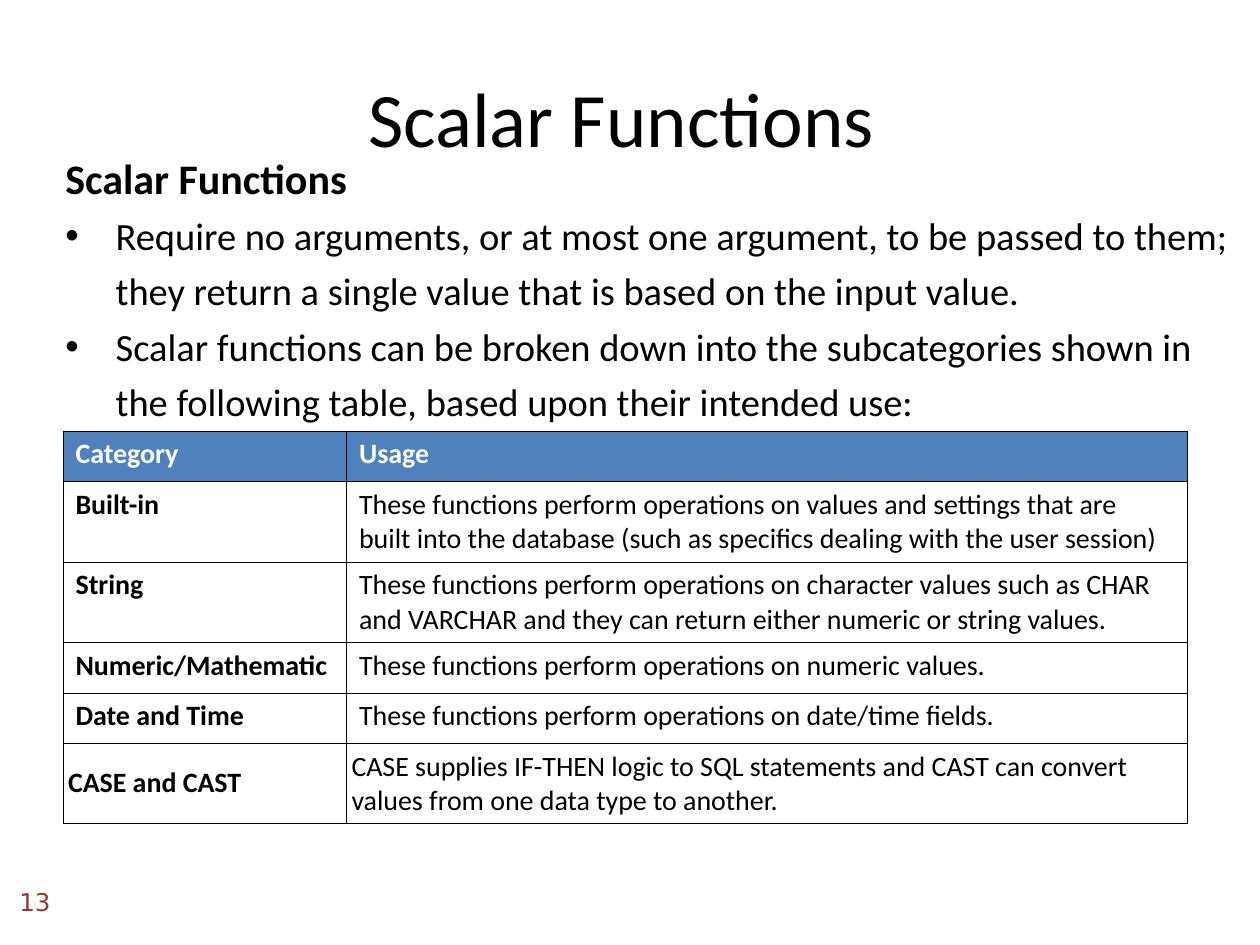
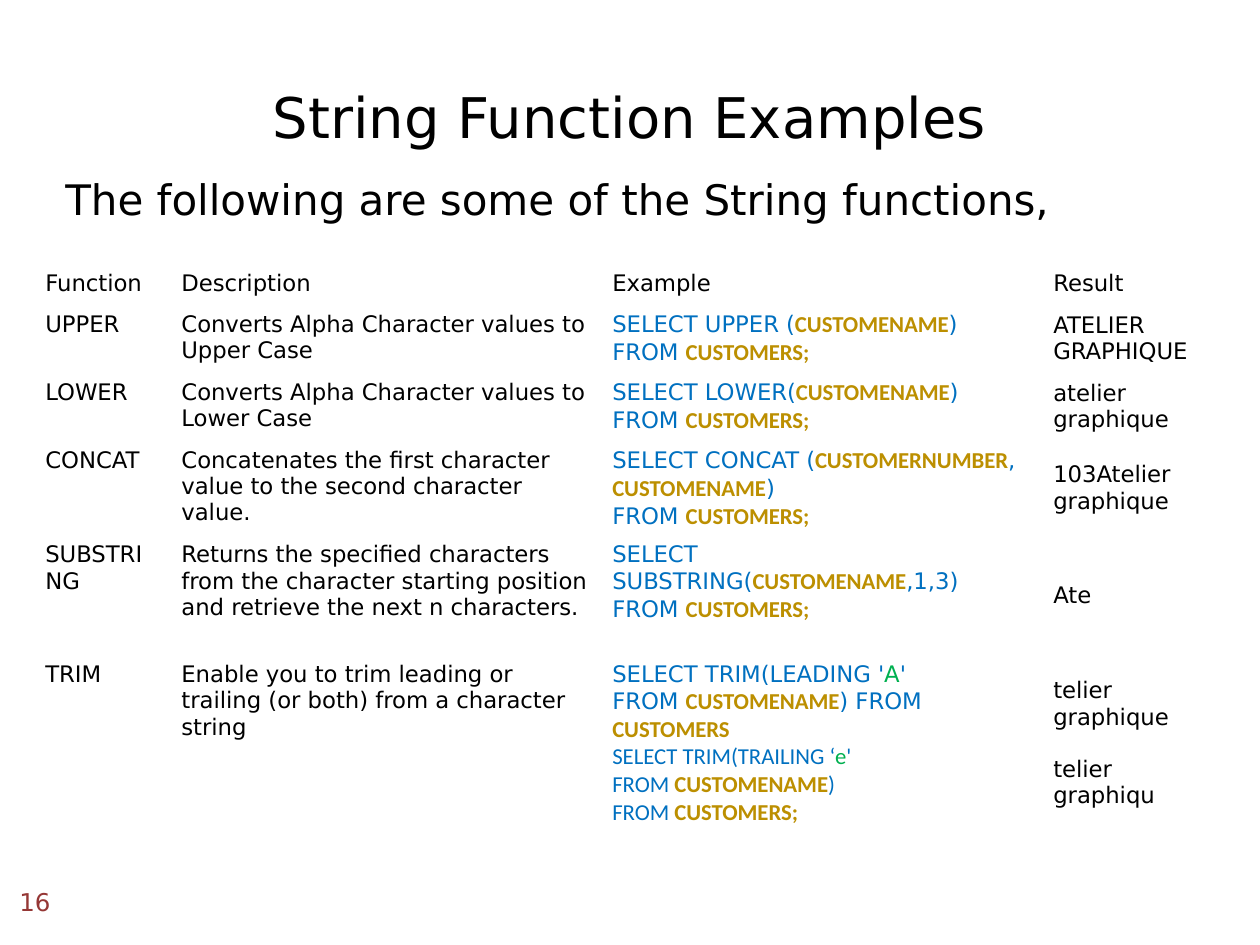
from pptx import Presentation
from pptx.dml.color import RGBColor
from pptx.enum.text import MSO_ANCHOR, PP_ALIGN
from pptx.oxml.ns import qn
from pptx.util import Inches, Pt
from lxml.etree import SubElement

# Shared look
SANS, MONO = "Calibri", "DejaVu Sans"
BLACK, WHITE, BLUE, RED = "000000", "FFFFFF", "4F81BD", "953735"
KEY = {"color": "0070C0"}
NAME = {"color": "BC8F00", "font": SANS, "bold": True}
QUOTE = {"color": "00B050"}

# Slide content
POINTS = [
    "Require no arguments, or at most one argument, to be passed to them; "
    "they return a single value that is based on the input value.",
    "Scalar functions can be broken down into the subcategories shown in "
    "the following table, based upon their intended use:",
]
USES = [
    ("Category", "Usage"),
    ("Built-in", "These functions perform operations on values and settings that are "
     "built into the database (such as specifics dealing with the user session)"),
    ("String", "These functions perform operations on character values such as CHAR "
     "and VARCHAR and they can return either numeric or string values."),
    ("Numeric/Mathematic", "These functions perform operations on numeric values."),
    ("Date and Time", "These functions perform operations on date/time fields."),
    ("CASE and CAST", "CASE supplies IF-THEN logic to SQL statements and CAST can convert "
     "values from one data type to another."),
]
# In SQL lines, |bars| enclose names and ~tildes~ enclose quoted letters
FROM = "FROM |CUSTOMERS;|"
CALLS = [
    ("Function", "Description", None, "Result"),
    ("UPPER", "Converts Alpha Character values to Upper Case",
     ["SELECT UPPER (|CUSTOMENAME|)", FROM], "ATELIER GRAPHIQUE"),
    ("LOWER", "Converts Alpha Character values to Lower Case",
     ["SELECT LOWER(|CUSTOMENAME|)", FROM], "atelier graphique"),
    ("CONCAT", "Concatenates the first character value to the second character value.",
     ["SELECT CONCAT (|CUSTOMERNUMBER|, |CUSTOMENAME|)", FROM],
     "103Atelier graphique"),
    ("SUBSTRING", "Returns the specified characters from the character starting "
     "position and retrieve the next n characters.",
     ["SELECT SUBSTRING(|CUSTOMENAME|,1,3)", FROM], "Ate"),
    ("TRIM", "Enable you to trim leading or trailing (or both) from a character string",
     ["SELECT TRIM(LEADING '~A~'", "FROM |CUSTOMENAME|) FROM |CUSTOMERS|",
      "SELECT TRIM(TRAILING ‘~e~'", "FROM |CUSTOMENAME|)", FROM],
     "telier graphique"),
]


def paint(code):
    return RGBColor.from_string(code)


def write(para, text, size=13, font=MONO, color=BLACK, bold=False):
    run = para.add_run()
    run.text = text
    run.font.size = Pt(size)
    run.font.name = font
    run.font.bold = bold
    run.font.color.rgb = paint(color)


def add_box(slide, left, top, width, height, anchor=MSO_ANCHOR.TOP):
    box = slide.shapes.add_textbox(*map(Inches, (left, top, width, height)))
    frame = box.text_frame
    frame.word_wrap = True
    frame.vertical_anchor = anchor
    return frame


def add_slide(deck, title, number, **look):
    """Blank slide with the shared title and page number."""
    slide = deck.slides.add_slide(deck.slide_layouts[6])
    head = add_box(slide, 0.5, 0.3, 9, 1.25, MSO_ANCHOR.MIDDLE).paragraphs[0]
    head.alignment = PP_ALIGN.CENTER
    write(head, title, **look)
    foot = add_box(slide, 0, 7.01, 0.5, 0.3, MSO_ANCHOR.MIDDLE).paragraphs[0]
    foot.alignment = PP_ALIGN.RIGHT
    write(foot, number, size=14, color=RED)
    return slide


def set_list(para, mark=None):
    props = para._p.get_or_add_pPr()
    para.line_spacing = 1.2
    if mark:
        props.set("marL", str(Inches(0.4)))
        props.set("indent", str(-Inches(0.4)))
        SubElement(props, qn("a:buFont")).set("typeface", "Arial")
        SubElement(props, qn("a:buChar")).set("char", mark)


def add_grid(slide, left, top, cols, rows):
    """Plain table without fills or banding."""
    frame = slide.shapes.add_table(len(rows), len(cols), Inches(left), Inches(top),
                                   Inches(sum(cols)), Inches(sum(rows)))
    table = frame.table
    table.first_row = table.horz_banding = False
    for col, width in zip(table.columns, cols):
        col.width = Inches(width)
    for row, height in zip(table.rows, rows):
        row.height = Inches(height)
    for cell in table.iter_cells():
        cell.fill.background()
    return table


def add_edge(cell, color, width):
    props = cell._tc.get_or_add_tcPr()
    for spot, side in enumerate(("lnL", "lnR", "lnT", "lnB")):
        line = SubElement(props, qn("a:" + side))
        line.set("w", str(Pt(width)))
        fill = SubElement(line, qn("a:solidFill"))
        SubElement(fill, qn("a:srgbClr")).set("val", color)
        props.insert(spot, line)


def write_sql(para, code, font):
    """Colour names and quoted letters within one line of SQL."""
    for part, chunk in enumerate(code.split("|")):
        if part % 2:
            write(para, chunk, **NAME)
            continue
        for spot, piece in enumerate(chunk.split("~")):
            if piece:
                write(para, piece, font=font, **(QUOTE if spot % 2 else KEY))


def fill_code(frame, lines):
    for spot, code in enumerate(lines):
        para = frame.add_paragraph() if spot else frame.paragraphs[0]
        # The second TRIM statement is set wholly in the sans face
        write_sql(para, code, SANS if spot > 1 else MONO)


def make_scalar(deck):
    slide = add_slide(deck, "Scalar Functions ", "13", size=44, font=SANS)
    frame = add_box(slide, 0.42, 1.08, 9.5, 5.41)
    set_list(frame.paragraphs[0])
    write(frame.paragraphs[0], "Scalar Functions", size=24, font=SANS, bold=True)
    for point in POINTS:
        para = frame.add_paragraph()
        set_list(para, "•")
        write(para, point, size=22, font=SANS)

    # Category table
    table = add_grid(slide, 0.5, 3.42, [2.25, 6.67], [0.4, 0.64, 0.64, 0.4, 0.4, 0.62])
    last = len(USES) - 1
    for r, row in enumerate(USES):
        for c, text in enumerate(row):
            cell = table.cell(r, c)
            write(cell.text_frame.paragraphs[0], text, size=16, font=SANS,
                  color=BLACK if r else WHITE, bold=r == 0 or c == 0)
            if r == 0:
                cell.fill.solid()
                cell.fill.fore_color.rgb = paint(BLUE)
            if r == last:
                cell.margin_left = cell.margin_right = Inches(0.04)
                cell.vertical_anchor = MSO_ANCHOR.MIDDLE
            add_edge(cell, BLACK, 0.45)


def make_string(deck):
    slide = add_slide(deck, "String Function Examples", "16", size=32)

    # Function table
    table = add_grid(slide, 0.26, 2.1, [1.08, 3.42, 3.5, 1.51],
                     [0.32, 0.54, 0.54, 0.75, 0.95, 1.4])
    for r, (label, about, code, result) in enumerate(CALLS):
        for c, text in enumerate((label, about, "" if code else "Example", result)):
            if text:
                write(table.cell(r, c).text_frame.paragraphs[0], text)
        if code:
            fill_code(table.cell(r, 2).text_frame, code)
            table.cell(r, 3).vertical_anchor = MSO_ANCHOR.MIDDLE
    extra = table.cell(len(CALLS) - 1, 3).text_frame.add_paragraph()
    extra.space_before = Pt(15)
    write(extra, "telier graphiqu")

    lead = add_box(slide, 0.42, 1.33, 8.42, 0.5)
    write(lead.paragraphs[0], "The following are some of the String functions,", size=24)


def main():
    deck = Presentation()
    deck.slide_width, deck.slide_height = Inches(10), Inches(7.5)
    make_scalar(deck)
    make_string(deck)
    deck.save("out.pptx")


if __name__ == "__main__":
    main()
